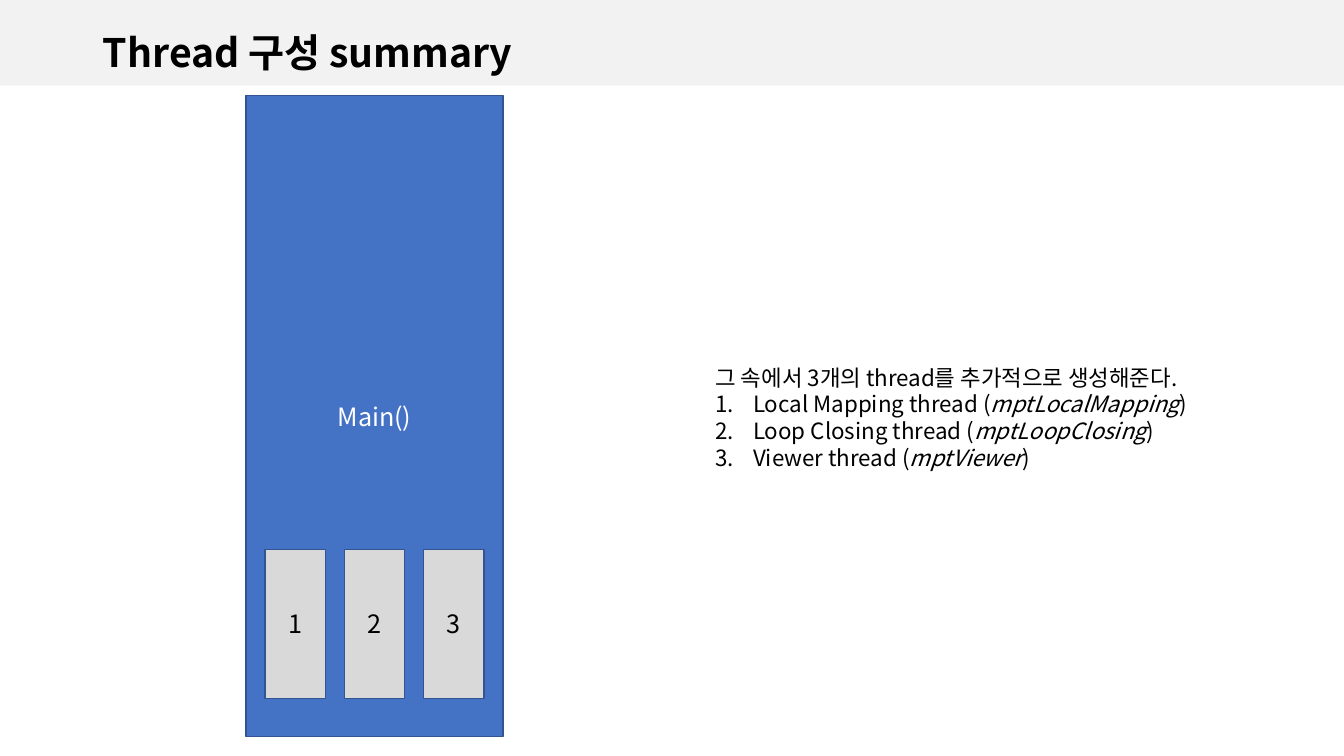
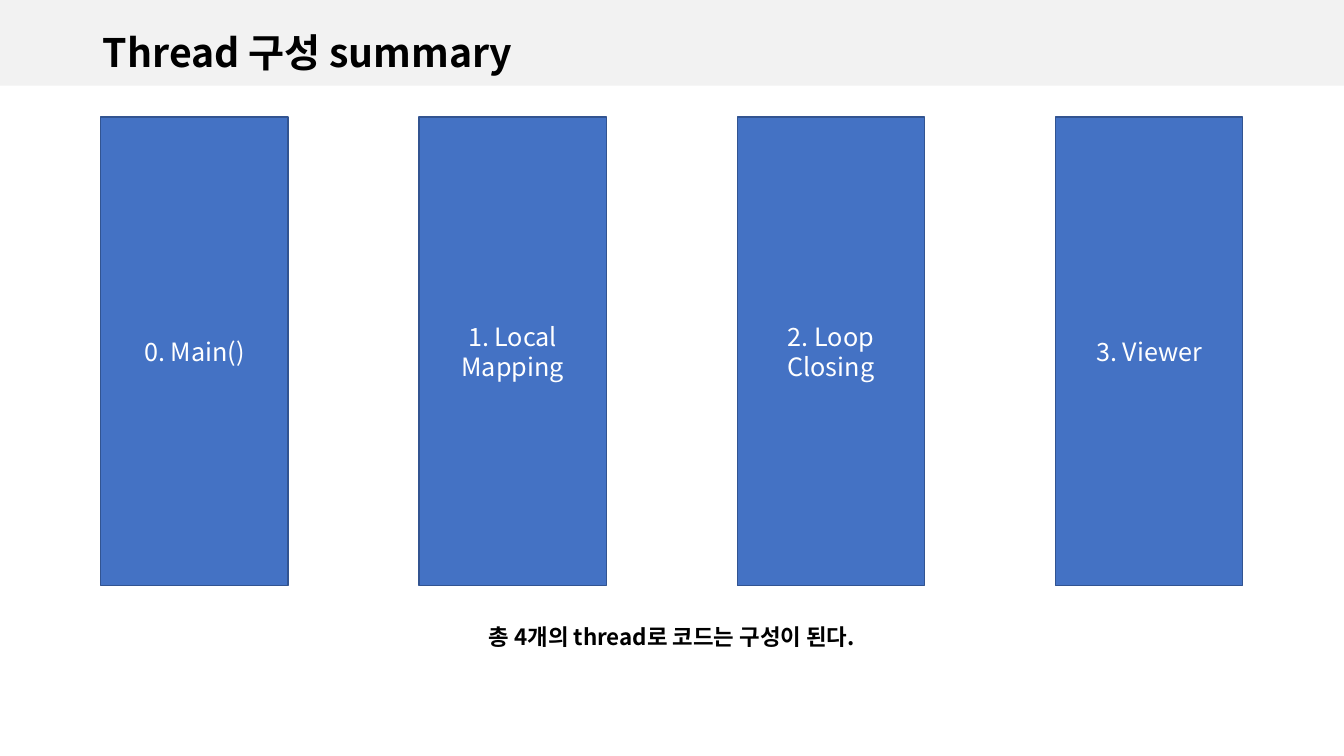
from lxml.etree import SubElement
from pptx import Presentation
from pptx.dml.color import RGBColor
from pptx.enum.shapes import MSO_SHAPE
from pptx.enum.text import MSO_ANCHOR, MSO_AUTO_SIZE, PP_ALIGN
from pptx.oxml.ns import qn
from pptx.util import Cm, Pt

FONT = "Noto Sans CJK KR"
BLACK = RGBColor(0x00, 0x00, 0x00)
WHITE = RGBColor(0xFF, 0xFF, 0xFF)
BAND = RGBColor(0xF2, 0xF2, 0xF2)
BLUE = RGBColor(0x44, 0x72, 0xC4)
OUTLINE = RGBColor(0x32, 0x54, 0x91)
GRAY = RGBColor(0xD9, 0xD9, 0xD9)


def add_text(p, text, size=16, color=BLACK, bold=False, italic=False, align=PP_ALIGN.LEFT):
    """Append one formatted run to paragraph p."""
    p.alignment = align
    r = p.add_run()
    r.text = text
    r.font.name = FONT
    r.font.size = Pt(size)
    r.font.bold = bold
    r.font.italic = italic
    r.font.color.rgb = color
    SubElement(r.font._element, qn("a:ea"), typeface=FONT)


def add_box(s, left, top, width, height, fill, text="", color=WHITE, line=OUTLINE):
    sp = s.shapes.add_shape(MSO_SHAPE.RECTANGLE, Cm(left), Cm(top), Cm(width), Cm(height))
    sp.shadow.inherit = False
    sp.fill.solid()
    sp.fill.fore_color.rgb = fill
    if line is None:
        sp.line.fill.background()
    else:
        sp.line.color.rgb = line
        sp.line.width = Pt(1)
    if text:
        sp.text_frame.vertical_anchor = MSO_ANCHOR.MIDDLE
        add_text(sp.text_frame.paragraphs[0], text, size=18, color=color, align=PP_ALIGN.CENTER)
    return sp


prs = Presentation()
prs.slide_width = Cm(33.87)
prs.slide_height = Cm(19.05)

# Shared title and band
for _ in range(2):
    s = prs.slides.add_slide(prs.slide_layouts[5])
    band = add_box(s, 0, 0, 33.87, 2.16, BAND, line=None)
    title = s.shapes.title
    band._element.addnext(title._element)
    title.left, title.top, title.width, title.height = Cm(2.34), Cm(0.61), Cm(29.21), Cm(1.55)
    tf = title.text_frame
    tf.auto_size = MSO_AUTO_SIZE.NONE
    tf.vertical_anchor = MSO_ANCHOR.MIDDLE
    p = tf.paragraphs[0]
    p.line_spacing = 0.9
    add_text(p, "Thread 구성 summary", size=28, bold=True)

thread_slide, overview_slide = prs.slides

# Slide 1: threads created inside Main()
main_left, main_width = 6.2, 6.48
add_box(thread_slide, main_left, 2.41, main_width, 16.15, BLUE, "Main()")

worker_width = 1.52
worker_gap = (main_width - 3 * worker_width) / 4
for i in range(3):
    left = main_left + worker_gap + i * (worker_width + worker_gap)
    add_box(thread_slide, left, 13.84, worker_width, 3.76, GRAY, str(i + 1), color=BLACK)

tf = thread_slide.shapes.add_textbox(Cm(17.78), Cm(9.04), Cm(15.32), Cm(3.68)).text_frame
tf.word_wrap = True
add_text(tf.paragraphs[0], "그 속에서 3개의 thread를 추가적으로 생성해준다.")
for name, variable in [
    ("Local Mapping", "mptLocalMapping"),
    ("Loop Closing", "mptLoopClosing"),
    ("Viewer", "mptViewer"),
]:
    p = tf.add_paragraph()
    pPr = p._p.get_or_add_pPr()
    pPr.set("marL", str(Cm(0.95)))
    pPr.set("indent", str(-Cm(0.95)))
    SubElement(pPr, qn("a:buFont"), typeface=FONT)
    SubElement(pPr, qn("a:buAutoNum"), type="arabicPeriod")
    add_text(p, f"{name} thread (")
    add_text(p, variable, italic=True)
    add_text(p, ")")

# Slide 2: all four threads
row_left, row_width, thread_width = 2.54, 28.78, 4.72
threads = ["0. Main()", "1. Local Mapping", "2. Loop Closing", "3. Viewer"]
step = (row_width - thread_width) / (len(threads) - 1)
for i, text in enumerate(threads):
    add_box(overview_slide, row_left + i * step, 2.95, thread_width, 11.81, BLUE, text)

tf = overview_slide.shapes.add_textbox(Cm(row_left), Cm(15.57), Cm(row_width), Cm(0.94)).text_frame
tf.word_wrap = True
add_text(tf.paragraphs[0], "총 4개의 thread로 코드는 구성이 된다.", bold=True, align=PP_ALIGN.CENTER)

prs.save("out.pptx")
